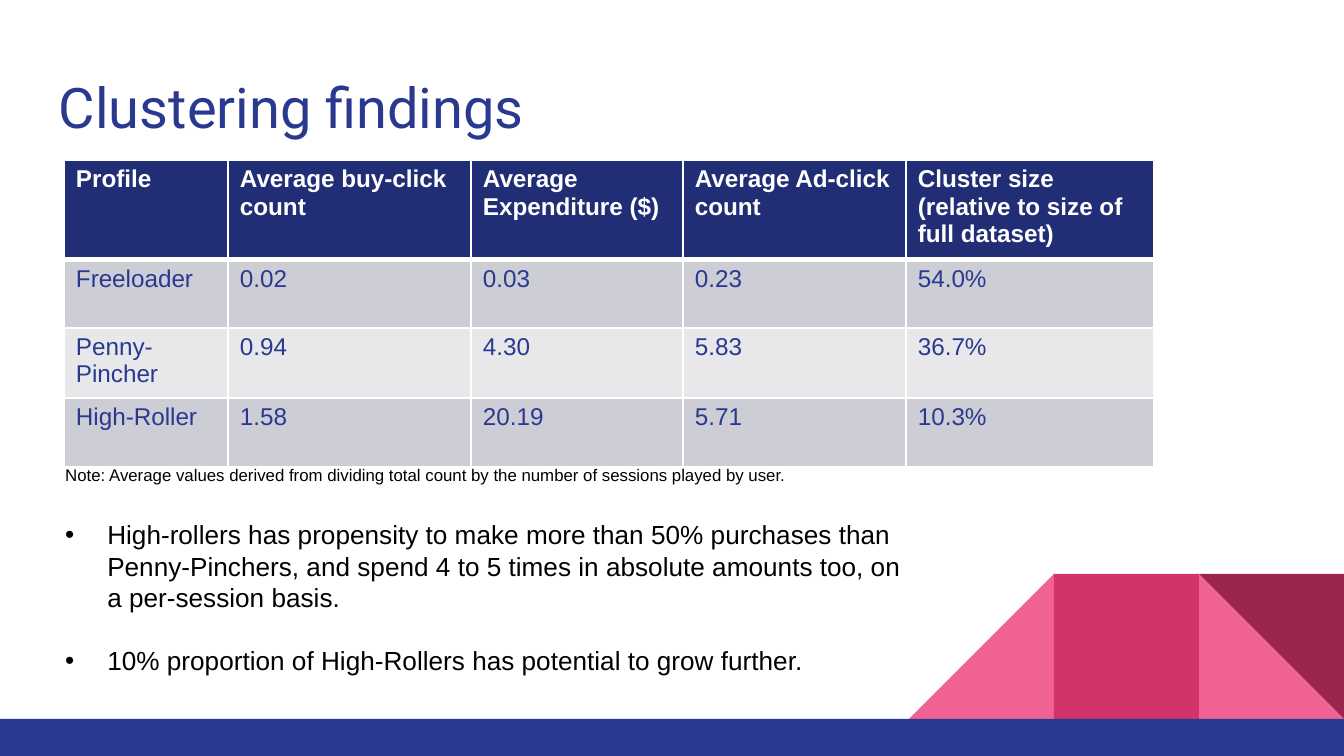
"""Build the clustering findings slide."""
import pptx
import pptx.util
import pptx.dml.color
import pptx.enum.shapes
import pptx.enum.text
import lxml.etree
from dataclasses import dataclass


@dataclass(frozen=True)
class Theme:
    navy: str = "2A3990"
    header: str = "212D74"
    band_dark: str = "CDCDD6"
    band_light: str = "E8E8EB"
    pink: str = "F06292"
    rose: str = "D23369"
    wine: str = "9C254D"
    white: str = "FFFFFF"
    black: str = "000000"
    heading_font: str = "Roboto"
    body_font: str = "Arial"
    title_size: float = 30
    table_size: float = 13
    note_size: float = 9
    bullet_size: float = 14


theme = Theme()
SCALE = 914400 / 134.4
ANCHOR_TOP = pptx.enum.text.MSO_ANCHOR.TOP
SHAPES = pptx.enum.shapes.MSO_SHAPE


def px(*lengths):
    return [pptx.util.Emu(round(length * SCALE)) for length in lengths]


def style(paragraph, face, size, color, bold=False):
    paragraph.font.name = face
    paragraph.font.size = pptx.util.Pt(size)
    paragraph.font.bold = bold
    paragraph.font.color.rgb = pptx.dml.color.RGBColor.from_string(color)


deck = pptx.Presentation()
deck.slide_width, deck.slide_height = px(1344, 756)
slide = deck.slides.add_slide(deck.slide_layouts[5])

tile, tile_top, right_edge = 145, 574, 1344
decor = [
    (SHAPES.RIGHT_TRIANGLE, right_edge - tile, theme.pink, 0, False),
    (SHAPES.RIGHT_TRIANGLE, right_edge - 3 * tile, theme.pink, 0, True),
    (SHAPES.RECTANGLE, right_edge - 2 * tile, theme.rose, 0, False),
    (SHAPES.RIGHT_TRIANGLE, right_edge - tile, theme.wine, 180, False),
]
blocks = [(kind, (left, tile_top, tile, tile), color, turn, mirrored)
          for kind, left, color, turn, mirrored in decor]
blocks.append((SHAPES.RECTANGLE, (0, 719, 1344, 37), theme.navy, 0, False))
for kind, box, color, turn, mirrored in blocks:
    block = slide.shapes.add_shape(kind, *px(*box))
    block.shadow.inherit = False
    block.fill.solid()
    block.fill.fore_color.rgb = pptx.dml.color.RGBColor.from_string(color)
    block.line.fill.background()
    block.rotation = turn
    if mirrored:
        block.element.spPr.xfrm.set("flipH", "1")

title = slide.shapes.title
title.left, title.top, title.width, title.height = px(46, 60, 1253, 89)
title_frame = title.text_frame
title_frame.text = "Clustering findings"
title_frame.vertical_anchor = ANCHOR_TOP
title_frame.auto_size = pptx.enum.text.MSO_AUTO_SIZE.NONE
title_frame.margin_left, title_frame.margin_right = px(13, 13)
title_frame.margin_top, title_frame.margin_bottom = px(13, 13)
title_frame.paragraphs[0].alignment = pptx.enum.text.PP_ALIGN.LEFT
style(title_frame.paragraphs[0], theme.heading_font, theme.title_size, theme.navy)

profiles = [
    ("Profile", "Average buy-click count", "Average Expenditure ($)",
     "Average Ad-click count", "Cluster size (relative to size of full dataset)"),
    ("Freeloader", "0.02", "0.03", "0.23", "54.0%"),
    ("Penny-Pincher", "0.94", "4.30", "5.83", "36.7%"),
    ("High-Roller", "1.58", "20.19", "5.71", "10.3%"),
]
column_widths = px(164, 243, 212, 223, 248)
row_heights = px(100, 68, 70, 69)
findings = slide.shapes.add_table(
    len(profiles), len(column_widths),
    *px(64, 160), sum(column_widths), sum(row_heights)).table
for column, width in zip(findings.columns, column_widths):
    column.width = width
for row, height in zip(findings.rows, row_heights):
    row.height = height
for r, profile in enumerate(profiles):
    header = r == 0
    fill = theme.header if header else (theme.band_dark if r % 2 else theme.band_light)
    for c, wording in enumerate(profile):
        cell = findings.cell(r, c)
        cell.text = wording
        cell.margin_left, cell.margin_right, cell.margin_top, cell.margin_bottom = px(12, 12, 6, 6)
        style(cell.text_frame.paragraphs[0], theme.body_font, theme.table_size,
              theme.white if header else theme.navy, header)
        properties = cell._tc.get_or_add_tcPr()
        for side in ("lnL", "lnR", "lnT", "lnB"):
            thick = (header and side == "lnB") or (r == 1 and side == "lnT")
            border = lxml.etree.SubElement(
                properties, pptx.oxml.ns.qn("a:" + side),
                w=str(pptx.util.Pt(3 if thick else 1)))
            solid = lxml.etree.SubElement(border, pptx.oxml.ns.qn("a:solidFill"))
            lxml.etree.SubElement(solid, pptx.oxml.ns.qn("a:srgbClr"), val=theme.white)
        cell.fill.solid()
        cell.fill.fore_color.rgb = pptx.dml.color.RGBColor.from_string(fill)

note = slide.shapes.add_textbox(*px(52, 458, 1142, 34)).text_frame
note.word_wrap = True
note.text = ("Note: Average values derived from dividing total count "
             "by the number of sessions played by user.")
style(note.paragraphs[0], theme.body_font, theme.note_size, theme.black)

insights = slide.shapes.add_textbox(*px(52, 512, 878, 172)).text_frame
insights.word_wrap = True
insights.text = "\n".join([
    "High-rollers has propensity to make more than 50% purchases than Penny-Pinchers, "
    "and spend 4 to 5 times in absolute amounts too, on a per-session basis.",
    "10% proportion of High-Rollers has potential to grow further.",
])
for insight in insights.paragraphs:
    style(insight, theme.body_font, theme.bullet_size, theme.black)
    indent = px(42)[0]
    bullet_properties = insight._p.get_or_add_pPr()
    bullet_properties.set("marL", str(indent))
    bullet_properties.set("indent", str(-indent))
    bullet_font = lxml.etree.Element(pptx.oxml.ns.qn("a:buFont"), typeface=theme.body_font)
    bullet = lxml.etree.Element(pptx.oxml.ns.qn("a:buChar"), char="\u2022")
    bullet_properties.insert(0, bullet_font)
    bullet_properties.insert(1, bullet)
insights.paragraphs[0].space_after = pptx.util.Pt(17)

deck.save("out.pptx")
